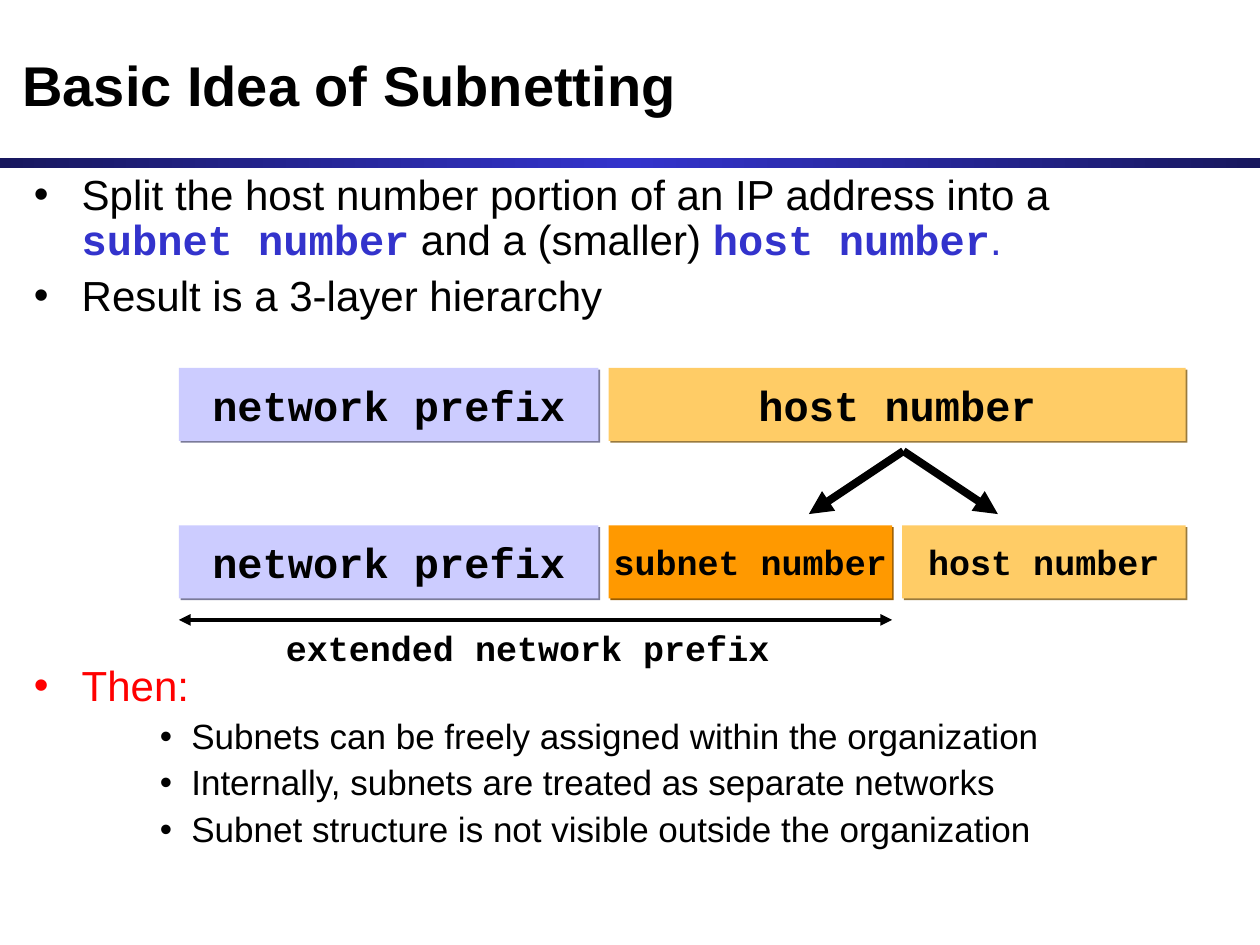
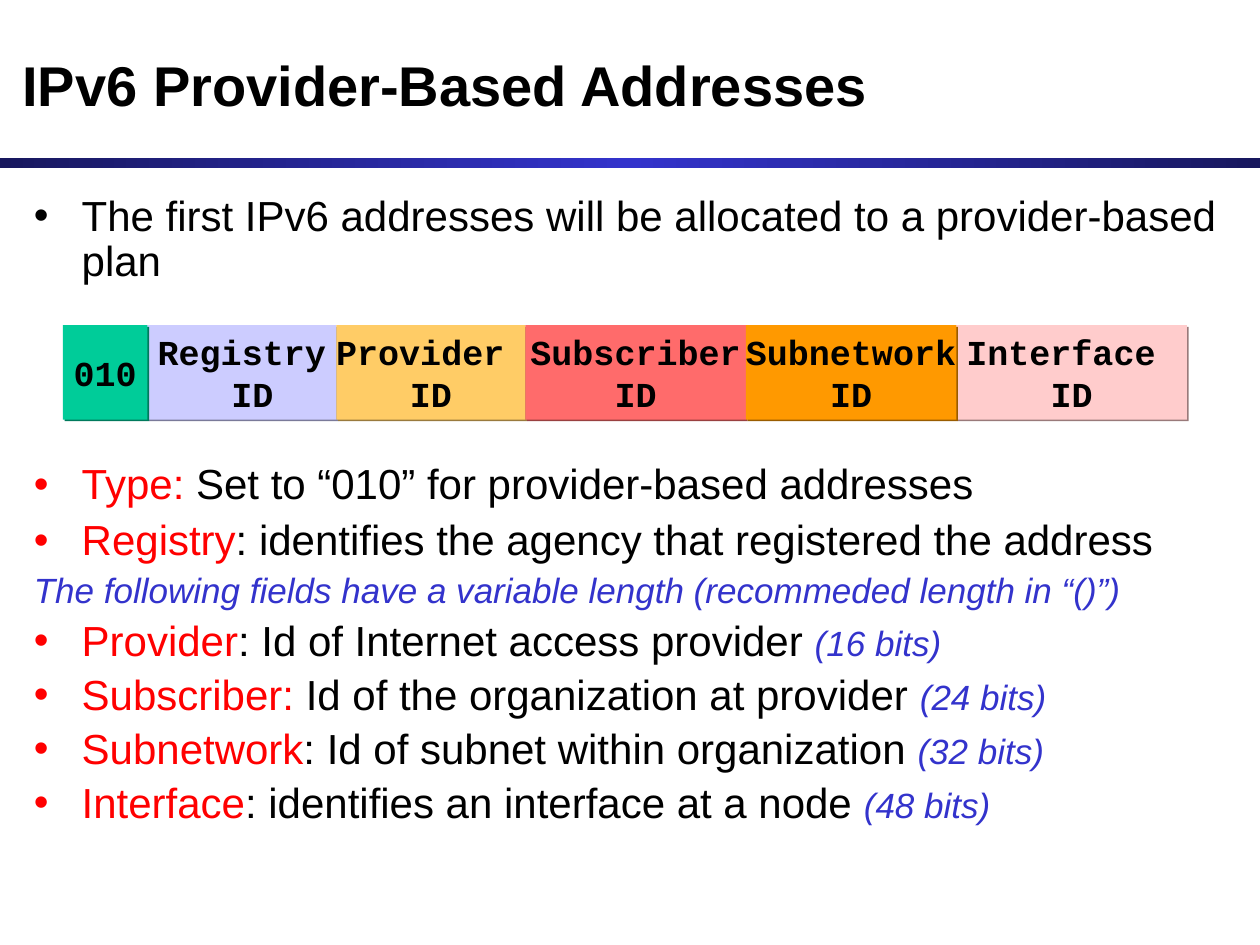
from copy import deepcopy

from lxml import etree
from pptx import Presentation
from pptx import util as u
from pptx.dml import color
from pptx.enum import shapes, text
from pptx.oxml import ns

HUES = {
    "ink": "000000", "blue": "3333CC", "navy": "18185E", "red": "FF0000",
    "lilac": "CCCCFF", "sand": "FFCC66", "orange": "FF9900",
    "green": "00CC99", "coral": "FF6B6B", "pink": "FFCCCC",
}
MONO = "Courier New"
CODE = {"face": MONO, "bold": True}
TERM = {**CODE, "color": "blue"}
RED = {"color": "red"}
NOTE = {"size": 20, "color": "blue", "italic": True}


def rgb(name):
    """Return the named colour."""
    return color.RGBColor.from_string(HUES[name])


def add(parent, tag, **attrs):
    """Append a DrawingML element."""
    return etree.SubElement(parent, ns.qn("a:" + tag), attrs)


def write(para, words, size=24, color="ink", face="Arial", bold=False, italic=False):
    """Add formatted words to a paragraph, breaking at line ends."""
    for i, line in enumerate(words.split("\n")):
        if i:
            para.add_line_break()
        run = para.add_run()
        run.text = line
        font = run.font
        font.size, font.name, font.bold, font.italic = u.Pt(size), face, bold, italic
        font.color.rgb = rgb(color)


class Deck:
    """Hold the shared style and the current slide."""

    def __init__(self):
        """Open an empty 10 by 7.5 inch deck."""
        self.prs = Presentation()
        self.prs.slide_width, self.prs.slide_height = u.Inches(10), u.Inches(7.5)

    def page(self, title):
        """Start a slide with its band and title."""
        self.slide = self.prs.slides.add_slide(self.prs.slide_layouts[6])
        self.band()
        frame = self.box(0.08, 0.17, 9.83, 1)
        frame.vertical_anchor = text.MSO_ANCHOR.MIDDLE
        write(frame.paragraphs[0], title, size=32, bold=True)

    def rect(self, left, top, width, height):
        """Add a rectangle without line or shadow."""
        shape = self.slide.shapes.add_shape(
            shapes.MSO_SHAPE.RECTANGLE, *map(u.Inches, (left, top, width, height)))
        shape.line.fill.background()
        shape.shadow.inherit = False
        return shape

    def band(self):
        """Add the three-stop gradient band."""
        shape = self.rect(0, 1.25, 10, 0.08)
        fill = shape.fill
        fill.gradient()
        fill.gradient_angle = 0
        stops = shape._element.spPr.find(".//" + ns.qn("a:gsLst"))
        stops.insert(1, deepcopy(stops[0]))
        for stop, at, name in zip(fill.gradient_stops, (0, 0.5, 1), ("navy", "blue", "navy")):
            stop.position = at
            stop.color.rgb = rgb(name)

    def box(self, left, top, width, height):
        """Add a wrapping text box and return its frame."""
        shape = self.slide.shapes.add_textbox(*map(u.Inches, (left, top, width, height)))
        shape.text_frame.word_wrap = True
        return shape.text_frame

    def body(self, top, height, items):
        """Add paragraphs given as (bullet colour, indent, space before, runs)."""
        frame = self.box(0.17, top, 9.75, height)
        for i, (dot, indent, space, runs) in enumerate(items):
            para = frame.add_paragraph() if i else frame.paragraphs[0]
            props = para._p.get_or_add_pPr()
            hang = 0.25 if indent > 1 else 0.38
            props.set("marL", str(u.Inches(indent)))
            props.set("indent", str(-u.Inches(hang)))
            if dot:
                add(add(props, "buClr"), "srgbClr", val=HUES[dot])
                add(props, "buFont", typeface="Arial")
                add(props, "buChar", char="•")
            para.line_spacing = 0.9
            para.space_before = u.Pt(space if i else 0)
            for words, style in runs:
                write(para, words, **style)

    def field(self, left, top, width, height, fill, label, size):
        """Add a labelled address field with a darker shadow."""
        shape = self.rect(left, top, width, height)
        shape.fill.solid()
        shape.fill.fore_color.rgb = rgb(fill)
        effects = shape._element.spPr.find(ns.qn("a:effectLst"))
        shade = add(effects, "outerShdw", dist=str(u.Pt(1.4)), dir="2700000",
                    algn="ctr", rotWithShape="0")
        dark = "".join(f"{round(part * 0.6):02X}" for part in rgb(fill))
        add(shade, "srgbClr", val=dark)
        frame = shape.text_frame
        frame.word_wrap = False
        frame.vertical_anchor = text.MSO_ANCHOR.MIDDLE
        para = frame.paragraphs[0]
        para.alignment = text.PP_ALIGN.CENTER
        write(para, label, size=size, **CODE)

    def row(self, left, top, height, cells, gap=0, order=None):
        """Lay (width, fill, label, size) fields side by side."""
        spots = []
        for width, *look in cells:
            spots.append((left, top, width, height, *look))
            left += width + gap
        for i in order or range(len(spots)):
            self.field(*spots[i])

    def arrow(self, start, end, weight, both=False):
        """Add a black arrow, with two heads if asked."""
        link = self.slide.shapes.add_connector(
            shapes.MSO_CONNECTOR.STRAIGHT, *map(u.Inches, (*start, *end)))
        link.line.color.rgb = rgb("ink")
        link.line.width = u.Pt(weight)
        line = link.line._get_or_add_ln()
        if both:
            add(line, "headEnd", type="triangle")
        add(line, "tailEnd", type="triangle")
        add(link._element.spPr, "effectLst")


def subnets(deck):
    """Build the subnetting slide."""
    deck.page("Basic Idea of Subnetting")
    deck.body(1.33, 1.4, [
        ("ink", 0.38, 6, [
            ("Split the host number portion of an IP address into a\n", {}),
            ("subnet number", TERM), (" and a (smaller) ", {}),
            ("host number", TERM), (".", {"color": "blue"})]),
        ("ink", 0.38, 6, [("Result is a 3-layer hierarchy", {})]),
    ])
    points = ("Subnets can be freely assigned within the organization",
              "Internally, subnets are treated as separate networks",
              "Subnet structure is not visible outside the organization")
    deck.body(5.23, 1.7, [("red", 0.38, 6, [("Then:", RED)])] + [
        ("ink", 1.25, 5, [(point, {"size": 20})]) for point in points])
    prefix = (3.33, "lilac", "network prefix", 24)
    deck.row(1.42, 2.92, 0.58, [prefix, (4.58, "sand", "host number", 24)], gap=0.08)
    deck.row(1.42, 4.17, 0.58, [
        prefix,
        (2.25, "orange", "subnet number", 20),
        (2.25, "sand", "host number", 20),
    ], gap=0.08)
    for shift in (-0.75, 0.75):
        deck.arrow((7.17, 3.58), (7.17 + shift, 4.08), 4.5)
    deck.arrow((1.42, 4.92), (7.08, 4.92), 2.25, both=True)
    frame = deck.box(2.17, 4.92, 4.08, 0.44)
    write(frame.paragraphs[0], "extended network prefix", size=20, **CODE)


def provider(deck):
    """Build the IPv6 address slide."""
    deck.page("IPv6 Provider-Based Addresses")
    deck.body(1.5, 0.9, [("ink", 0.38, 6, [
        ("The first IPv6 addresses will be allocated to a provider-based plan", {})])])
    fixed = (("Type: ", "Set to “010” for provider-based addresses"),
             ("Registry", ": identifies the agency that registered the address"))
    free = (("Provider", ": Id of Internet access provider ", 16),
            ("Subscriber:", " Id of the organization at provider ", 24),
            ("Subnetwork", ": Id of subnet within organization ", 32),
            ("Interface", ": identifies an interface at a node ", 48))
    items = [("red", 0.38, 6, [(name, RED), (role, {})]) for name, role in fixed]
    items.append((None, 0.38, 5, [
        ("The following fields have a variable length (recommeded length in “()”)", NOTE)]))
    items += [("red", 0.38, 5, [(name, RED), (role, {}), (f"({bits} bits)", NOTE)])
              for name, role, bits in free]
    deck.body(3.63, 3.2, items)
    deck.row(0.5, 2.58, 0.75, [
        (0.67, "green", "010", 20),
        (1.5, "lilac", "Registry\n ID", 20),
        (1.5, "sand", "Provider \nID", 20),
        (1.75, "coral", " Subscriber \nID", 20),
        (1.67, "orange", "Subnetwork\nID", 20),
        (1.83, "pink", "Interface \nID", 20),
    ], order=(1, 2, 0, 3, 5, 4))


def main():
    """Build and save the deck."""
    deck = Deck()
    subnets(deck)
    provider(deck)
    deck.prs.save("out.pptx")


if __name__ == "__main__":
    main()
